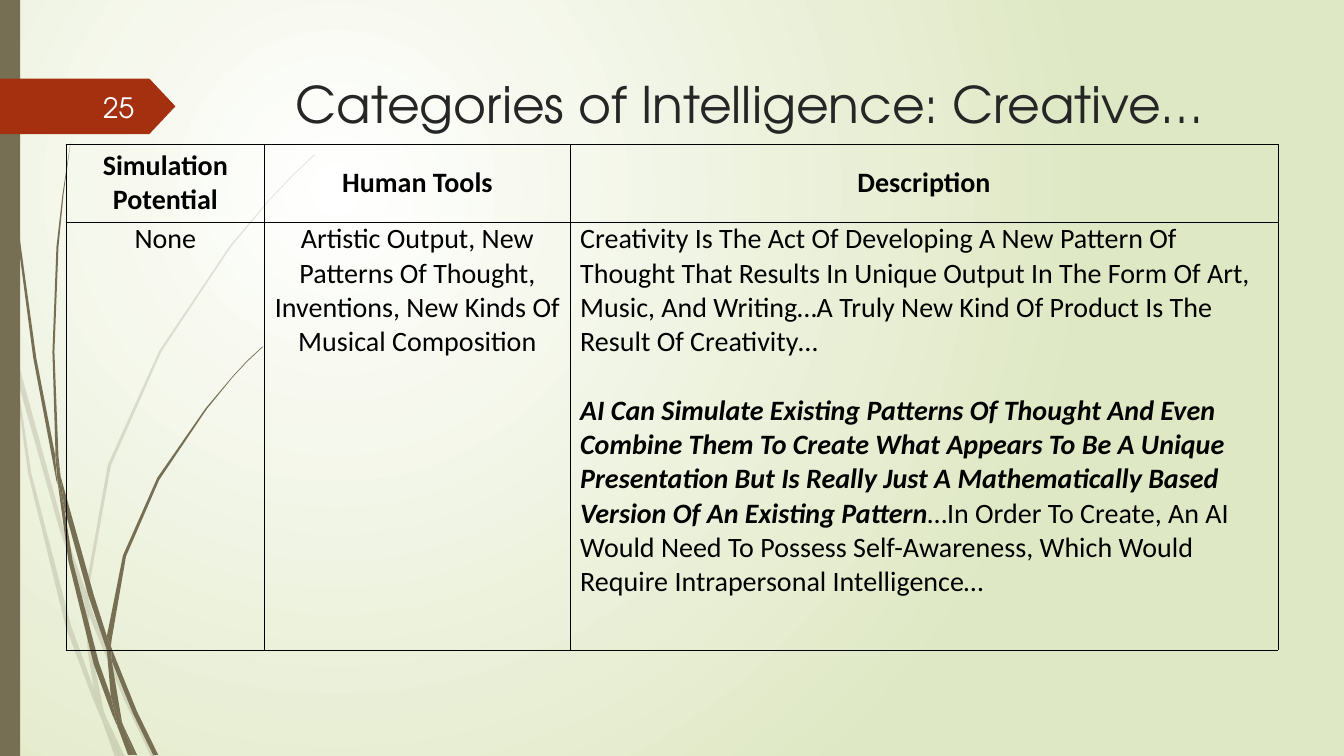
from lxml.etree import SubElement
from pptx import Presentation
from pptx.dml.color import RGBColor
from pptx.enum.shapes import MSO_SHAPE as Shape
from pptx.enum.text import MSO_ANCHOR as Anchor, PP_ALIGN as Align
from pptx.oxml.ns import qn
from pptx.util import Inches, Pt

COLUMNS, ROWS = 1333, 750
BROWN, RED, INK = "766F54", "A53010", "000000"

PALE_BLADES = [
    [(11, 350), (9, 322), (0, 282), (0, 299), (10, 344)],
    [(58, 522), (84, 599), (85, 586), (62, 520), (14, 345), (17, 376)],
    [(92, 607), (88, 596), (88, 610), (123, 694), (150, 751), (155, 751), (127, 692)],
    [(119, 751), (124, 751), (105, 711)],
    [(93, 683), (70, 619), (31, 469), (17, 376), (11, 350), (28, 470), (65, 621),
     (92, 693), (101, 714), (99, 707)],
    [(84, 599), (87, 646), (93, 683), (96, 692), (105, 711), (103, 706), (91, 646),
     (88, 610), (88, 608)],
    [(88, 584), (110, 462), (160, 349), (229, 245), (268, 198), (290, 175), (312, 154),
     (312, 153), (289, 175), (268, 197), (228, 244), (158, 348), (107, 461), (85, 584),
     (85, 586), (88, 596)],
    [(101, 714), (114, 751), (119, 751)],
    [(88, 608), (88, 610), (88, 596), (85, 586), (84, 599)],
    [(96, 692), (93, 683), (99, 707), (101, 714), (119, 751), (105, 711)],
]
DARK_BLADES = [
    [(7, 110), (17, 233), (33, 355), (56, 477), (57, 481), (55, 457), (55, 453), (36, 355),
     (19, 232), (8, 109), (5, 48), (4, 0), (3, 0), (4, 48)],
    [(88, 592), (106, 645), (106, 633), (106, 631), (93, 590), (60, 472), (64, 505)],
    [(113, 649), (110, 641), (111, 656), (132, 708), (152, 749), (157, 749), (136, 706)],
    [(110, 691), (98, 657), (72, 556), (64, 505), (57, 477), (68, 557), (93, 659),
     (111, 708), (117, 722), (116, 717)],
    [(60, 472), (58, 453), (54, 349), (58, 245), (63, 193), (70, 141), (62, 193),
     (56, 245), (52, 349), (55, 449)],
    [(133, 749), (136, 749), (122, 719)],
    [(57, 477), (64, 505), (60, 472), (55, 449), (55, 453)],
    [(111, 633), (125, 552), (158, 476), (205, 406), (231, 374), (245, 359), (261, 344),
     (260, 344), (245, 358), (231, 373), (204, 405), (156, 474), (122, 551), (106, 631),
     (110, 641)],
    [(117, 722), (127, 749), (131, 749)],
    [(106, 645), (110, 691), (116, 706), (122, 719), (121, 716), (111, 656), (109, 651)],
    [(106, 645), (109, 651), (111, 656), (110, 641), (106, 631), (106, 633)],
    [(116, 706), (110, 691), (116, 717), (117, 722), (130, 749), (133, 749), (122, 719)],
]

HEADINGS = ["Simulation Potential", "Human Tools", "Description"]
TOOLS = "Artistic Output, New Patterns Of Thought, Inventions, New Kinds Of Musical Composition"
CREATIVITY = (
    "Creativity Is The Act Of Developing A New Pattern Of Thought That Results In Unique Output "
    "In The Form Of Art, Music, And Writing…A Truly New Kind Of Product Is The Result Of Creativity…")
SIMULATION = (
    "AI Can Simulate Existing Patterns Of Thought And Even Combine Them To Create What Appears To Be "
    "A Unique Presentation But Is Really Just A Mathematically Based Version Of An Existing Pattern")
AWARENESS = (
    "…In Order To Create, An AI Would Need To Possess Self-Awareness, "
    "Which Would Require Intrapersonal Intelligence…")


def color(value):
    return RGBColor.from_string(value)


class Slide:
    heading_font = "TeX Gyre Adventor"
    body_font = "Calibri"

    def __init__(self, deck):
        self.page = deck.slides.add_slide(deck.slide_layouts[5])
        self.cell_width = deck.slide_width / COLUMNS
        self.cell_height = deck.slide_height / ROWS

    def place(self, column, row):
        return round(column * self.cell_width), round(row * self.cell_height)

    def area(self, column, row, columns, rows):
        return *self.place(column, row), *self.place(columns, rows)

    def background(self, inner, outer):
        fill = self.page.background.fill
        fill.gradient()
        for stop, position, value in zip(fill.gradient_stops, (0, 1), (inner, outer)):
            stop.position = position
            stop.color.rgb = color(value)
        gradient = self.page.element.find(".//" + qn("a:gradFill"))
        gradient.remove(gradient.find(qn("a:lin")))
        circle = SubElement(gradient, qn("a:path"), path="circle")
        SubElement(circle, qn("a:fillToRect"), l="50000", t="50000", r="100000", b="100000")

    def paint(self, shape, value, opacity=100):
        shape.shadow.inherit = False
        shape.fill.solid()
        shape.fill.fore_color.rgb = color(value)
        shape.line.fill.background()
        if opacity < 100:
            tint = shape.element.spPr.find(".//" + qn("a:srgbClr"))
            SubElement(tint, qn("a:alpha"), val=str(opacity * 1000))

    def blade(self, points, value, opacity=100):
        outline = [self.place(*point) for point in points]
        builder = self.page.shapes.build_freeform(*outline[0])
        builder.add_line_segments(outline[1:])
        self.paint(builder.convert_to_shape(), value, opacity)

    def shape(self, kind, area, value):
        shape = self.page.shapes.add_shape(kind, *self.area(*area))
        self.paint(shape, value)
        return shape

    def style(self, para, font, size, value, align=Align.LEFT, bold=False):
        para.alignment = align
        para.font.name, para.font.size, para.font.bold = font, Pt(size), bold
        para.font.color.rgb = color(value)

    def title(self, area, text):
        box = self.page.shapes.title
        box.left, box.top, box.width, box.height = self.area(*area)
        box.text_frame.text = text
        box.text_frame.vertical_anchor = Anchor.TOP
        self.style(box.text_frame.paragraphs[0], self.heading_font, 36, "262626")

    def number(self, area, text):
        frame = self.page.shapes.add_textbox(*self.area(*area)).text_frame
        frame.word_wrap = True
        frame.vertical_anchor = Anchor.MIDDLE
        frame.text = text
        self.style(frame.paragraphs[0], self.heading_font, 20, "FEFFFF", Align.RIGHT)

    def border(self, cell):
        properties = cell._tc.get_or_add_tcPr()
        for side in ("lnL", "lnR", "lnT", "lnB"):
            line = SubElement(properties, qn("a:" + side), w=str(Pt(0.5)))
            SubElement(SubElement(line, qn("a:solidFill")), qn("a:srgbClr"), val=INK)

    def table(self, column, row, widths, heights, rows):
        area = self.area(column, row, sum(widths), sum(heights))
        table = self.page.shapes.add_table(len(heights), len(widths), *area).table
        table.first_row = table.horz_banding = False
        for index, width in enumerate(widths):
            table.columns[index].width = self.place(width, 0)[0]
        for index, height in enumerate(heights):
            table.rows[index].height = self.place(0, height)[1]
        for row_index, texts in enumerate(rows):
            heading = row_index == 0
            for column_index, text in enumerate(texts):
                cell = table.cell(row_index, column_index)
                self.border(cell)
                cell.fill.background()
                cell.margin_top = cell.margin_bottom = 0
                cell.margin_left = cell.margin_right = 0 if heading else Inches(0.1)
                cell.vertical_anchor = Anchor.MIDDLE if heading else Anchor.TOP
                cell.text = text
                centred = heading or column_index < 2
                for para in cell.text_frame.paragraphs:
                    self.style(para, self.body_font, 20, INK,
                               Align.CENTER if centred else Align.LEFT, heading)
        return table


def main():
    deck = Presentation()
    deck.slide_width, deck.slide_height = Inches(13.33), Inches(7.5)
    slide = Slide(deck)
    slide.background("FFFFFF", "DFE8C4")
    for points in PALE_BLADES:
        slide.blade(points, BROWN, 20)
    for points in DARK_BLADES:
        slide.blade(points, BROWN)
    slide.shape(Shape.RECTANGLE, (0, 0, 20, ROWS), BROWN)
    tag = slide.shape(Shape.PENTAGON, (0, 78, 174, 55), RED)
    tag.adjustments[0] = 0.47
    slide.title((283.5, 68, 975, 140), "Categories of Intelligence: Creative…")
    slide.number((58, 86, 85, 40), "25")
    table = slide.table(65.5, 143, (197, 303, 702), (77.4, 424.6),
                        [HEADINGS, ["None", TOOLS, CREATIVITY + "\n" + SIMULATION]])
    para = table.cell(1, 2).text_frame.paragraphs[1]
    para.space_before = Pt(24.4)
    emphasis = para.runs[0].font
    emphasis.bold = emphasis.italic = True
    para.add_run().text = AWARENESS
    deck.save("out.pptx")


if __name__ == "__main__":
    main()
